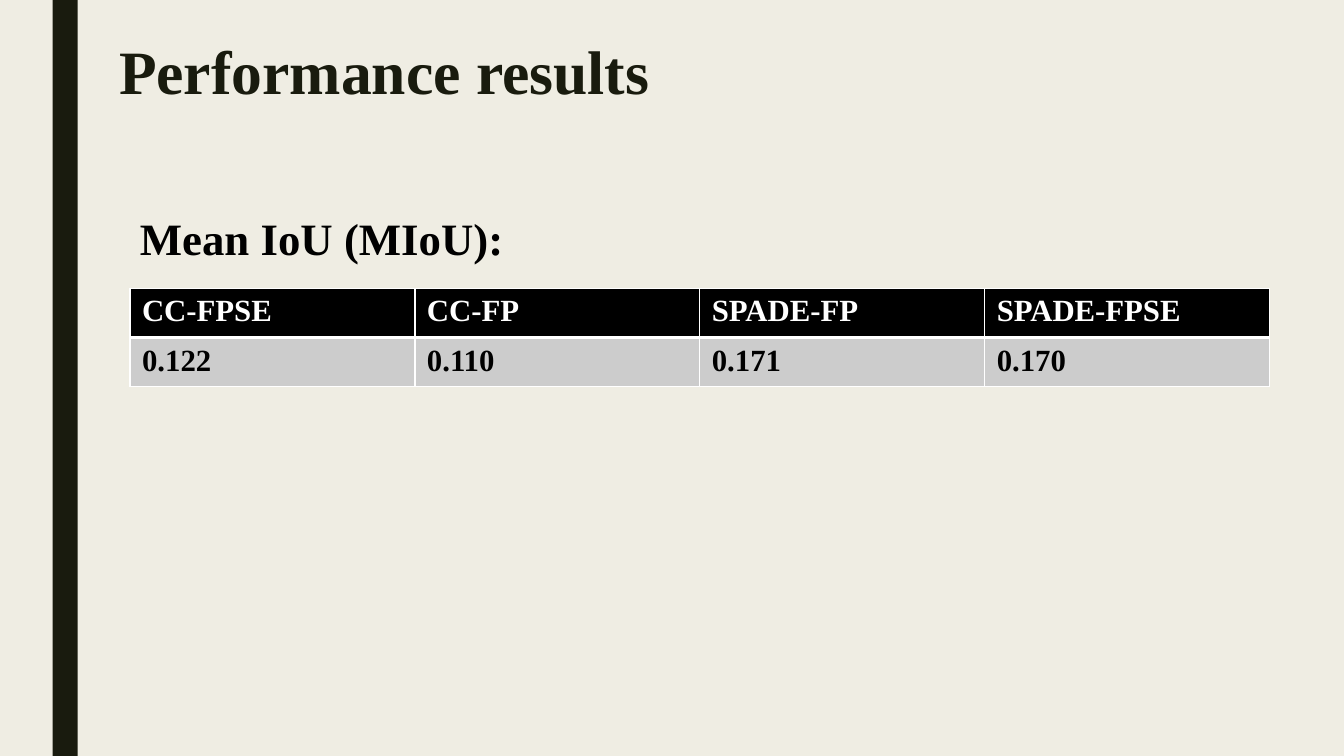
from lxml.etree import SubElement
from pptx import Presentation
from pptx.dml.color import RGBColor
from pptx.enum.shapes import MSO_SHAPE
from pptx.enum.text import MSO_ANCHOR, MSO_AUTO_SIZE, PP_ALIGN
from pptx.oxml.ns import qn
from pptx.util import Pt

TITLE = "Performance results"
SUBTITLE = "Mean IoU (MIoU):"
MIOU = [
    ("CC-FPSE", "CC-FP", "SPADE-FP", "SPADE-FPSE"),
    ("0.122", "0.110", "0.171", "0.170"),
]
FONT = "Times New Roman"
COLORS = {
    "bg": "EFEDE3",
    "dark": "191B0E",
    "black": "000000",
    "white": "FFFFFF",
    "gray": "CCCCCC",
}
LEFT, TABLE_TOP, COL_W, ROW_H = 92.9, 206, 203.5, 35.2


def rgb(name):
    return RGBColor.from_string(COLORS[name])


def write(tf, text, size, color):
    tf.text = text
    p = tf.paragraphs[0]
    p.alignment = PP_ALIGN.LEFT
    font = p.runs[0].font
    font.name, font.size, font.bold = FONT, Pt(size), True
    font.color.rgb = rgb(color)
    return p


def add_borders(cell, widths):
    tcPr = cell._tc.get_or_add_tcPr()
    for i, (side, width) in enumerate(widths.items()):
        ln = SubElement(tcPr, qn(f"a:ln{side}"), w=str(Pt(width)))
        fill = SubElement(ln, qn("a:solidFill"))
        SubElement(fill, qn("a:srgbClr"), val=COLORS["white"])
        tcPr.insert(i, ln)


prs = Presentation()
prs.slide_width, prs.slide_height = Pt(960), Pt(540)
s = prs.slides.add_slide(prs.slide_layouts[5])
s.background.fill.solid()
s.background.fill.fore_color.rgb = rgb("bg")

bar = s.shapes.add_shape(MSO_SHAPE.RECTANGLE, Pt(37.5), Pt(0), Pt(18), Pt(540))
bar.shadow.inherit = False
bar.fill.solid()
bar.fill.fore_color.rgb = rgb("dark")
bar.line.fill.background()

title = s.shapes.title
title.left, title.top, title.width, title.height = Pt(77.8), Pt(24.5), Pt(422), Pt(58.3)
title.text_frame.vertical_anchor = MSO_ANCHOR.MIDDLE
title.text_frame.auto_size = MSO_AUTO_SIZE.NONE
write(title.text_frame, TITLE, 44, "dark").line_spacing = 0.89

table = s.shapes.add_table(
    len(MIOU), len(MIOU[0]), Pt(LEFT), Pt(TABLE_TOP),
    Pt(COL_W * len(MIOU[0])), Pt(ROW_H * len(MIOU)),
).table
for col in table.columns:
    col.width = Pt(COL_W)
for i, values in enumerate(MIOU):
    table.rows[i].height = Pt(ROW_H)
    fill, color = ("gray", "black") if i else ("black", "white")
    for j, value in enumerate(values):
        cell = table.cell(i, j)
        cell.margin_left = cell.margin_right = Pt(8.6)
        cell.margin_top = cell.margin_bottom = Pt(4.3)
        cell.fill.solid()
        cell.fill.fore_color.rgb = rgb(fill)
        write(cell.text_frame, value, 22, color)
        add_borders(cell, {"L": 1, "R": 1, "T": 3 if i else 1, "B": 1 if i else 3})

label = s.shapes.add_textbox(Pt(LEFT), Pt(147), Pt(276.5), Pt(46))
label.text_frame.word_wrap = False
label.text_frame.auto_size = MSO_AUTO_SIZE.SHAPE_TO_FIT_TEXT
write(label.text_frame, SUBTITLE, 32, "black")

prs.save("out.pptx")
